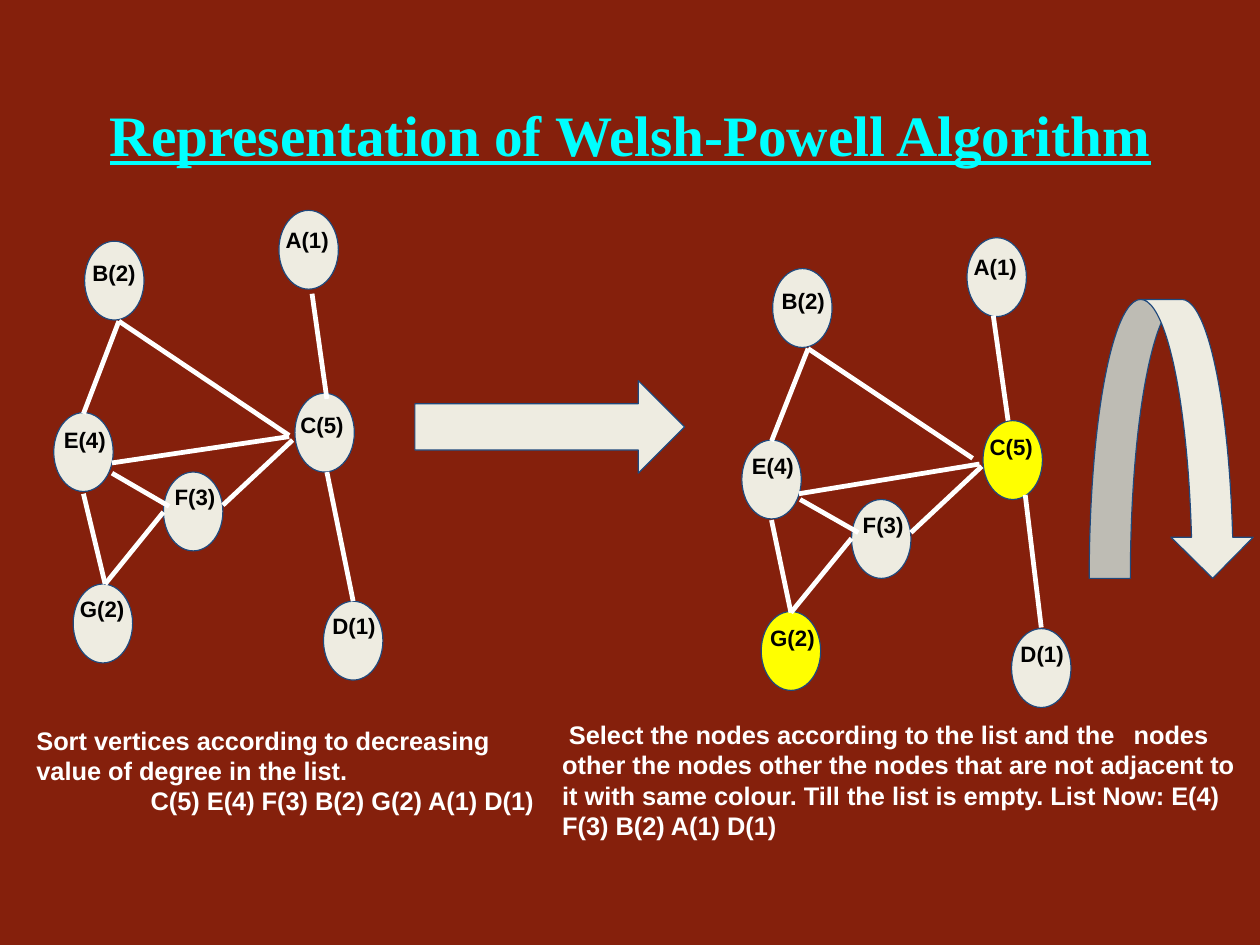
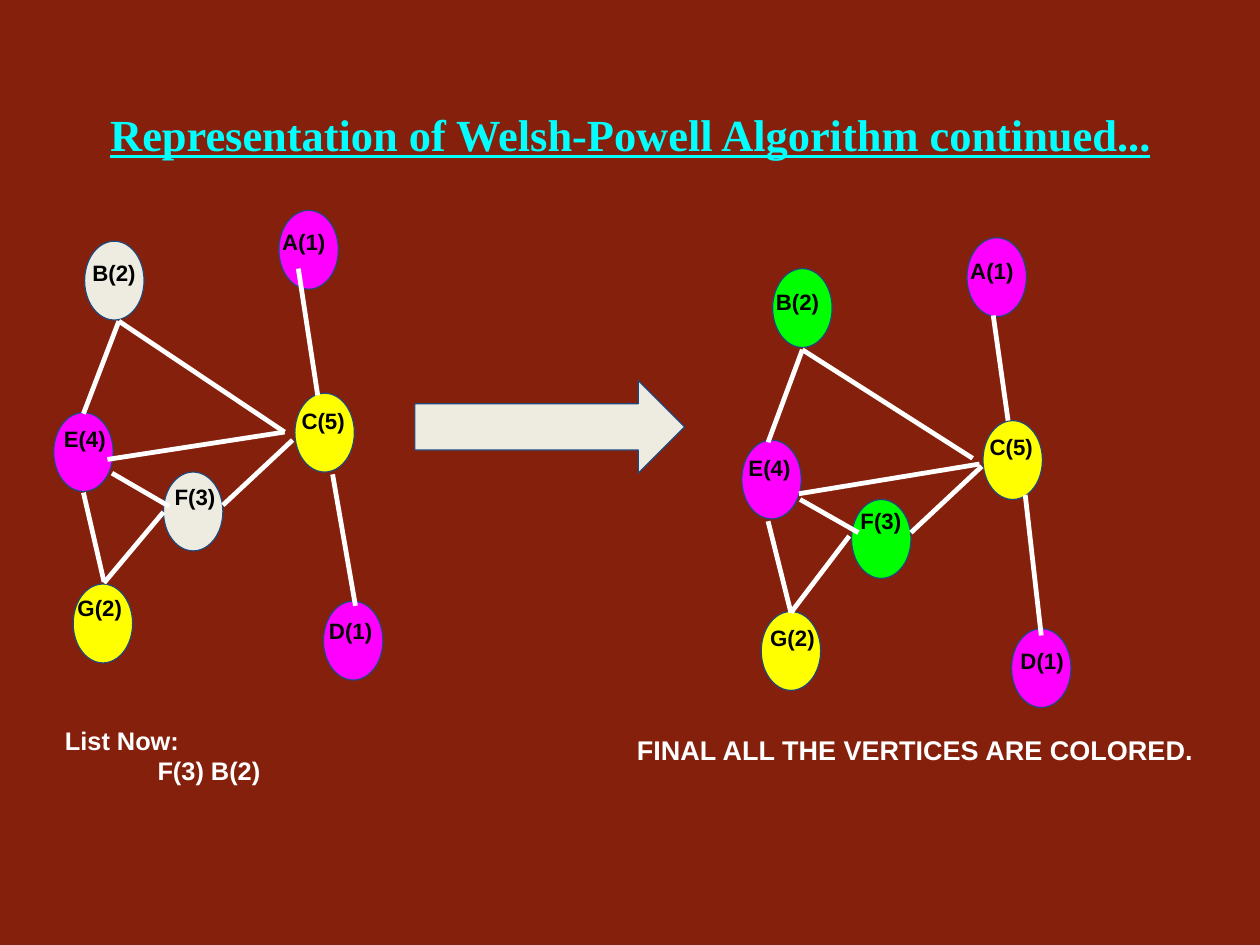
from dataclasses import dataclass
from lxml.etree import SubElement
from pptx import Presentation
from pptx.dml.color import RGBColor
from pptx.enum.shapes import MSO_CONNECTOR, MSO_SHAPE
from pptx.enum.text import MSO_ANCHOR, PP_ALIGN
from pptx.oxml.ns import qn
from pptx.util import Cm, Pt

SCALE = 9144  # EMU per px, 100 px to the inch


@dataclass(frozen=True)
class Theme:
    back: str = "85200C"
    title: str = "00FFFF"
    text: str = "FFFFFF"
    label: str = "000000"
    edge: str = "FFFFFF"
    plain: str = "EEECE1"
    rim: str = "1F497D"
    yellow: str = "FFFF00"
    pink: str = "FF00FF"
    green: str = "00FF00"
    serif: str = "Times New Roman"
    sans: str = "Arial"
    head: int = 36
    subhead: int = 28
    body: int = 16
    final: int = 17
    small: int = 14
    thin: float = 0.75
    thick: int = 3


T = Theme()
SIZE = (Cm(28), Cm(21))
LEFT, RIGHT = (47, 184), (649, 208)  # corners of the two graphs
NODE = (52, 69)

# Node corners, label shifts from their node, and edge ends, all inside a graph
NODES = {"B(2)": (27, 27), "E(4)": (0, 177), "G(2)": (17, 327), "F(3)": (96, 229),
         "D(1)": (236, 342), "C(5)": (211, 160), "A(1)": (197, 0)}
SHIFTS = {"B": (-3, 6), "E": (-1, 2), "G": (-4, 0), "F": (0, 0),
          "D": (-2, 0), "C": (-5, 6), "A": (-4, 4)}
EDGES = {"BE": (57, 97, 26, 178), "BC": (57, 97, 206, 197),
         "EC": (51, 221, 206, 198), "EF": (51, 230, 101, 259),
         "EG": (26, 248, 45, 327), "GF": (45, 327, 96, 264),
         "AC": (226, 73, 239, 165), "CD": (239, 229, 262, 342),
         "FC": (148, 258, 209, 201)}

# What differs in the right-hand graphs and on the second slide
SHIFTS_R = SHIFTS | {"B": (-2, 6), "E": (-1, 1), "G": (-2, 1), "C": (-4, 1)}
EDGES_R = EDGES | {"BE": (58, 97, 26, 178), "BC": (58, 97, 202, 193),
                   "EC": (50, 224, 208, 198), "EF": (51, 229, 102, 258),
                   "EG": (26, 247, 43, 328), "GF": (43, 328, 96, 263),
                   "AC": (220, 68, 233, 160), "CD": (248, 225, 262, 341),
                   "FC": (148, 258, 210, 200)}
SHIFTS_2 = SHIFTS | {"E": (-1, 1), "G": (-6, -1), "A": (-7, 6),
                     "C": (-4, 2), "D": (-5, 4)}
EDGES_2 = EDGES | {"BC": (57, 97, 202, 194), "EC": (47, 218, 202, 194),
                   "EG": (26, 247, 44, 325), "GF": (44, 326, 96, 264),
                   "AC": (214, 51, 231, 162), "CD": (244, 231, 264, 346)}
SHIFTS_2R = SHIFTS_R | {"B": (-7, 7), "E": (-4, 2), "F": (-2, -3),
                        "A": (-7, 7), "D": (-2, 6)}
EDGES_2R = EDGES_R | {"BE": (53, 98, 23, 179), "BC": (53, 98, 202, 193),
                      "EG": (23, 248, 43, 328), "GF": (43, 328, 94, 261),
                      "CD": (248, 225, 262, 348)}


def px(*nums):
    return [n * SCALE for n in nums]


def rgb(code):
    return RGBColor.from_string(code)


def frame(slide, box, anchor=MSO_ANCHOR.TOP):
    """Add an empty text box with even insets and return its text frame."""
    body = slide.shapes.add_textbox(*px(*box)).text_frame
    body.word_wrap = True
    body.vertical_anchor = anchor
    body.margin_left = body.margin_right = body.margin_top = body.margin_bottom = 10 * SCALE
    return body


def write(para, text, size, color, font=T.sans, line=False):
    run = para.add_run()
    run.text = text
    run.font.name, run.font.size = font, Pt(size)
    run.font.bold, run.font.underline = True, line
    run.font.color.rgb = rgb(color)


def shape(slide, kind, box, fill=T.plain):
    form = slide.shapes.add_shape(kind, *px(*box))
    form.shadow.inherit = False
    form.fill.solid()
    form.fill.fore_color.rgb = rgb(fill)
    form.line.color.rgb = rgb(T.rim)
    form.line.width = Pt(T.thin)


def edge(slide, ends):
    line = slide.shapes.add_connector(MSO_CONNECTOR.STRAIGHT, *px(*ends))
    line.line.color.rgb = rgb(T.edge)
    line.line.width = Pt(T.thick)
    SubElement(line._element.spPr, qn("a:effectLst"))


def title(slide, text, size):
    para = frame(slide, (38, 71, 1027, 92), MSO_ANCHOR.MIDDLE).paragraphs[0]
    para.alignment = PP_ALIGN.CENTER
    write(para, text, size, T.title, T.serif, True)


def graph(slide, spot, fills, shifts, edges):
    """Draw nodes, labels and edges; fills maps a node's letter to its colour."""
    x, y = spot
    for name, (dx, dy) in NODES.items():
        shape(slide, MSO_SHAPE.OVAL, (x + dx, y + dy, *NODE), fills.get(name[0], T.plain))
    for name, (dx, dy) in NODES.items():
        sx, sy = shifts[name[0]]
        body = frame(slide, (x + dx + sx, y + dy + sy, 66, 69))
        write(body.paragraphs[0], name, T.small, T.label)
    for x1, y1, x2, y2 in edges.values():
        edge(slide, (x + x1, y + y1, x + x2, y + y2))


def caption(slide, box, lines, size=T.body, align=PP_ALIGN.LEFT):
    """Write lines, each given as (first-line indent, text)."""
    body = frame(slide, box)
    for i, (indent, text) in enumerate(lines):
        para = body.add_paragraph() if i else body.paragraphs[0]
        para.alignment = align
        props = para._p.get_or_add_pPr()
        props.set("marL", "0")
        props.set("indent", str(indent * SCALE))
        write(para, text, size, T.text)


def page(deck, text, size, first, second):
    """Add a slide with a title and a step from one graph to the next."""
    slide = deck.slides.add_slide(deck.slide_layouts[6])
    title(slide, text, size)
    graph(slide, LEFT, *first)
    graph(slide, RIGHT, *second)
    shape(slide, MSO_SHAPE.RIGHT_ARROW, (363, 333, 236, 81))
    return slide


def start(deck):
    picked = {"C": T.yellow, "G": T.yellow}
    slide = page(deck, "Representation of Welsh-Powell Algorithm", T.head,
                 ({}, SHIFTS, EDGES), (picked, SHIFTS_R, EDGES_R))
    caption(slide, (22, 624, 529, 161), [
        (0, "Sort vertices according to decreasing"),
        (0, "value of degree in the list."),
        (100, "C(5) E(4) F(3) B(2) G(2) A(1) D(1)")])
    caption(slide, (482, 619, 620, 179), [
        (6, "Select the nodes according to the list and the\tnodes other the nodes "
            "other the nodes that are not adjacent to it with same colour. Till the "
            "list is empty. List Now: E(4) F(3) B(2) A(1) D(1)")])
    shape(slide, MSO_SHAPE.CURVED_DOWN_ARROW, (953, 262, 144, 244))


def finish(deck):
    some = dict.fromkeys("CG", T.yellow) | dict.fromkeys("AED", T.pink)
    full = some | dict.fromkeys("BF", T.green)
    slide = page(deck, "Representation of Welsh-Powell Algorithm continued...", T.subhead,
                 (some, SHIFTS_2, EDGES_2), (full, SHIFTS_2R, EDGES_2R))
    caption(slide, (22, 624, 529, 161), [(25, "List Now:"), (106, "F(3) B(2)")])
    caption(slide, (515, 632, 571, 161), [(0, "FINAL ALL THE VERTICES ARE COLORED.")],
            T.final, PP_ALIGN.CENTER)


def main():
    deck = Presentation()
    deck.slide_width, deck.slide_height = SIZE
    fill = deck.slide_master.background.fill
    fill.solid()
    fill.fore_color.rgb = rgb(T.back)
    start(deck)
    finish(deck)
    deck.save("out.pptx")


if __name__ == "__main__":
    main()
